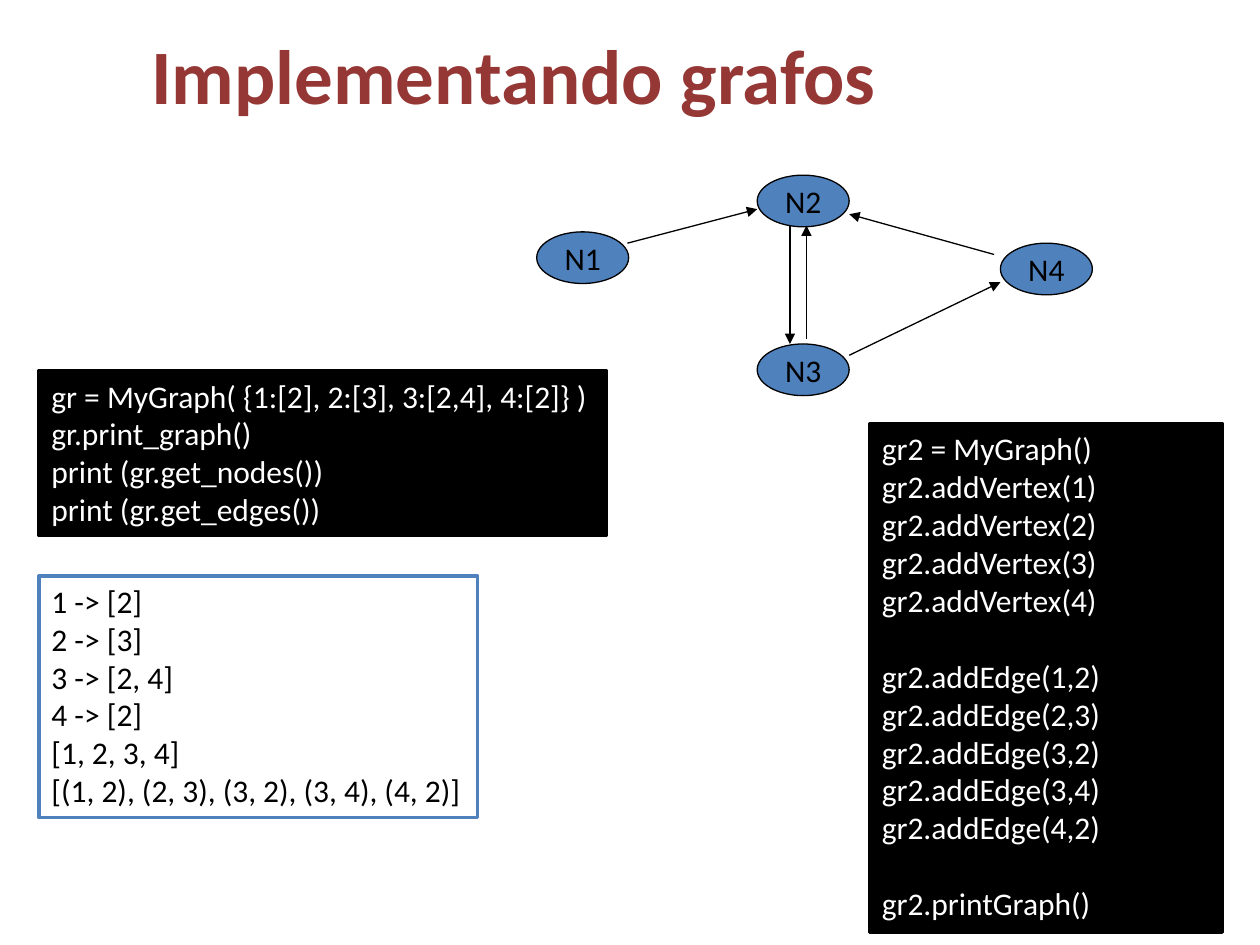
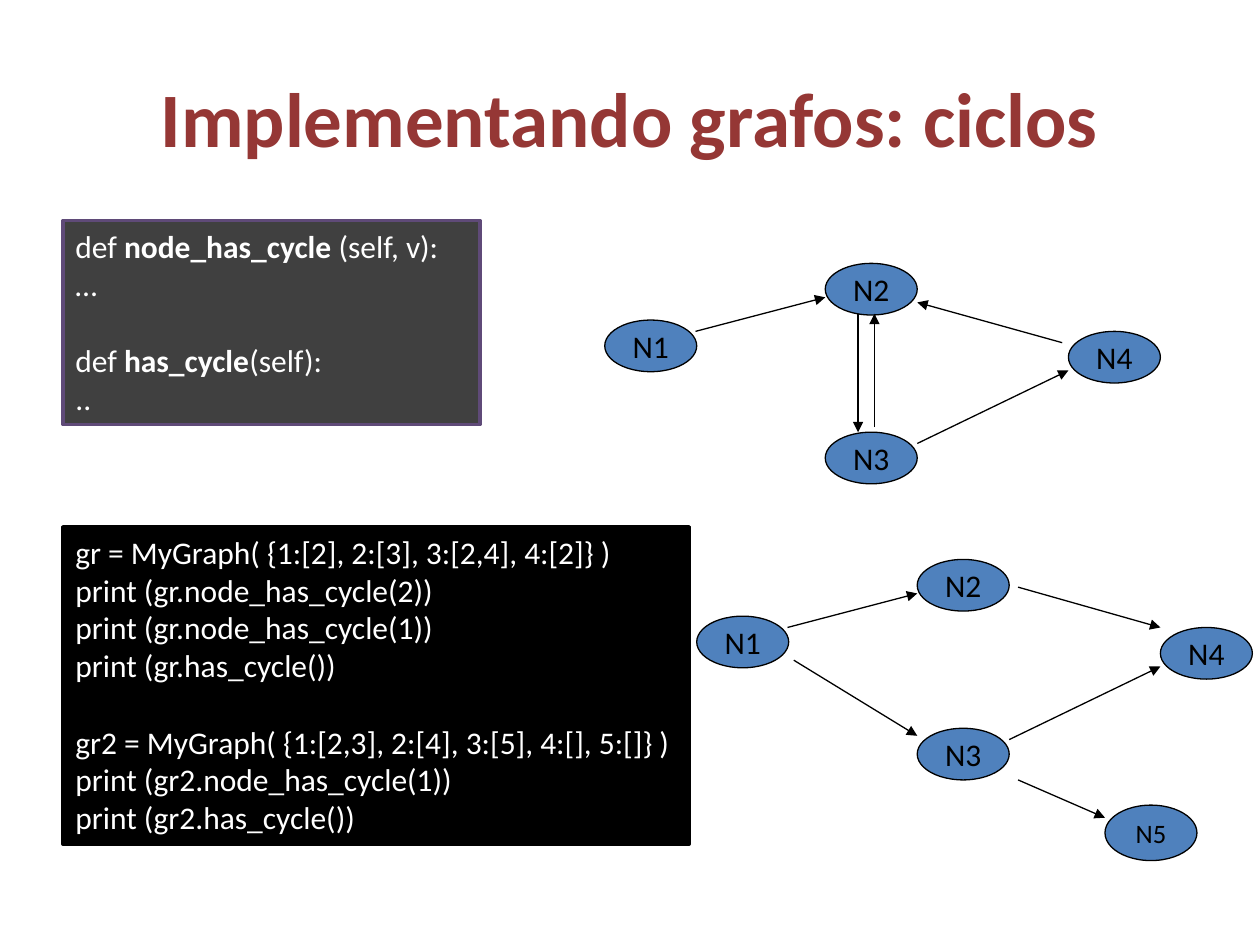
from lxml.etree import SubElement
from pptx import Presentation
from pptx.dml.color import RGBColor
from pptx.enum.shapes import MSO_CONNECTOR as CONNECTOR, MSO_SHAPE as SHAPE
from pptx.enum.text import MSO_ANCHOR as ANCHOR, MSO_AUTO_SIZE as AUTO_SIZE, PP_ALIGN as ALIGN
from pptx.oxml.ns import qn
from pptx.util import Inches, Pt

BLACK = RGBColor(0x00, 0x00, 0x00)
WHITE = RGBColor(0xFF, 0xFF, 0xFF)
BLUE = RGBColor(0x4F, 0x81, 0xBD)
DARK_RED = RGBColor(0x95, 0x37, 0x35)
DARK_GREY = RGBColor(0x40, 0x40, 0x40)
PURPLE = RGBColor(0x5F, 0x4A, 0x78)

COLUMNS, ROWS = 10, 7.5
NODE_WIDTH, NODE_HEIGHT = 0.73, 0.41
NODES = {"N1": (0, 0.45), "N2": (1.75, 0), "N3": (1.75, 1.34), "N4": (3.68, 0.54)}
EDGES = {
    "1-2": (0.72, 0.54, 1.75, 0.27),
    "1-3": (0.77, 0.8, 1.75, 1.4),
    "2-3": (2.01, 0.4, 2.01, 1.34),
    "2-4": (2.55, 0.22, 3.68, 0.54),
    "3-2": (2.14, 1.3, 2.14, 0.4),
    "3-4": (2.48, 1.43, 3.68, 0.85),
    "3-5": (2.55, 1.75, 3.24, 2.05),
    "4-2": (3.63, 0.63, 2.48, 0.31),
}
CYCLIC = ("1-2", "3-2", "3-4", "4-2", "2-3")
ACYCLIC = ("1-2", "3-4", "2-4", "1-3", "3-5")


class GraphDeck:
    font = "Calibri"
    text_size = 18
    blank_line = 22

    def __init__(self):
        self.deck = Presentation()
        self.deck.slide_width, self.deck.slide_height = Inches(10), Inches(7.5)
        self.page = None

    def across(self, columns):
        return round(self.deck.slide_width * columns / COLUMNS)

    def down(self, rows):
        return round(self.deck.slide_height * rows / ROWS)

    def area(self, left, top, width, height):
        return self.across(left), self.down(top), self.across(width), self.down(height)

    def add_span(self, para, text, color, size, bold=False):
        span = para.add_run()
        span.text = text
        span.font.name = self.font
        span.font.size = Pt(size)
        span.font.bold = bold
        span.font.color.rgb = color

    def add_page(self, title, left, top):
        self.page = self.deck.slides.add_slide(self.deck.slide_layouts[5])
        box = self.page.shapes.title
        box.left, box.top, box.width, box.height = self.area(left, top, 9, 1.25)
        box.text_frame.vertical_anchor = ANCHOR.MIDDLE
        para = box.text_frame.paragraphs[0]
        para.alignment = ALIGN.CENTER
        self.add_span(para, title, DARK_RED, 44, bold=True)

    def add_box(self, shapes, kind, area, fill, line, line_width):
        box = shapes.add_shape(kind, *self.area(*area))
        box.shadow.inherit = False
        box.fill.solid()
        box.fill.fore_color.rgb = fill
        box.line.color.rgb = line
        box.line.width = Pt(line_width)
        return box

    def add_code(self, area, blocks, fill=BLACK, line=BLACK, color=WHITE, wrap=False):
        box = self.add_box(self.page.shapes, SHAPE.RECTANGLE, area, fill, line, 2)
        frame = box.text_frame
        frame.word_wrap = wrap
        frame.auto_size = AUTO_SIZE.SHAPE_TO_FIT_TEXT
        frame.vertical_anchor = ANCHOR.TOP
        para = None
        for block in blocks:
            for index, code in enumerate(block):
                starts_later_block = para is not None and index == 0
                para = frame.paragraphs[0] if para is None else frame.add_paragraph()
                para.alignment = ALIGN.LEFT
                if starts_later_block:
                    para.space_before = Pt(self.blank_line)
                for part, text in enumerate(code.split("**")):
                    self.add_span(para, text, color, self.text_size, bold=part % 2 == 1)

    def add_node(self, shapes, name, left, top, height=NODE_HEIGHT, size=text_size):
        area = (left, top, NODE_WIDTH, height)
        box = self.add_box(shapes, SHAPE.OVAL, area, BLUE, BLACK, 0.75)
        frame = box.text_frame
        frame.word_wrap = False
        frame.vertical_anchor = ANCHOR.MIDDLE
        para = frame.paragraphs[0]
        para.alignment = ALIGN.CENTER
        self.add_span(para, name, BLACK, size)

    def add_arrow(self, shapes, x1, y1, x2, y2):
        arrow = shapes.add_connector(CONNECTOR.STRAIGHT, self.across(x1), self.down(y1),
                                     self.across(x2), self.down(y2))
        arrow.line.color.rgb = BLACK
        arrow.line.width = Pt(0.75)
        properties = arrow._element.spPr
        SubElement(properties.find(qn("a:ln")), qn("a:tailEnd"), type="triangle")
        SubElement(properties, qn("a:effectLst"))

    def add_graph(self, left, top, edges):
        shapes = self.page.shapes.add_group_shape().shapes
        for name, (x, y) in NODES.items():
            self.add_node(shapes, name, left + x, top + y)
        if "3-5" in edges:
            self.add_node(shapes, "N5", left + 3.24, top + 1.95, height=0.44, size=15.2)
        for edge in edges:
            x1, y1, x2, y2 = EDGES[edge]
            self.add_arrow(shapes, left + x1, top + y1, left + x2, top + y2)


show = GraphDeck()
build_graph = "gr = MyGraph( {1:[2], 2:[3], 3:[2,4], 4:[2]} )"

show.add_page("Implementando grafos", -0.42, -0.04)
show.add_code((0.31, 2.94, 4.5, 1.31), [
    [build_graph, "gr.print_graph()", "print (gr.get_nodes())", "print (gr.get_edges())"],
])
show.add_graph(4.26, 1.39, CYCLIC)
show.add_code((0.31, 4.57, 3.48, 1.92), [
    ["1 -> [2]", "2 -> [3]", "3 -> [2, 4]", "4 -> [2]", "[1, 2, 3, 4]",
     "[(1, 2), (2, 3), (3, 2), (3, 4), (4, 2)]"],
], fill=WHITE, line=BLUE, color=BLACK)
show.add_code((6.9, 3.36, 2.8, 4.04), [
    ["gr2 = MyGraph()"] + [f"gr2.addVertex({vertex})" for vertex in range(1, 5)],
    [f"gr2.addEdge({edge})" for edge in ("1,2", "2,3", "3,2", "3,4", "4,2")],
    ["gr2.printGraph()"],
], wrap=True)

show.add_page("Implementando grafos: ciclos", 0.5, 0.3)
show.add_code((0.5, 1.75, 3.31, 1.62), [
    ["def **node_has_cycle **(self, v):", "…"],
    ["def **has_cycle**(self):", ".."],
], fill=DARK_GREY, line=PURPLE, wrap=True)
show.add_code((0.5, 4.18, 4.97, 2.52), [
    [build_graph, "print (gr.node_has_cycle(2))", "print (gr.node_has_cycle(1))",
     "print (gr.has_cycle())"],
    ["gr2 = MyGraph( {1:[2,3], 2:[4], 3:[5], 4:[], 5:[]} )",
     "print (gr2.node_has_cycle(1))", "print (gr2.has_cycle())"],
])
show.add_graph(4.8, 2.09, CYCLIC)
show.add_graph(5.53, 4.44, ACYCLIC)

show.deck.save("out.pptx")
